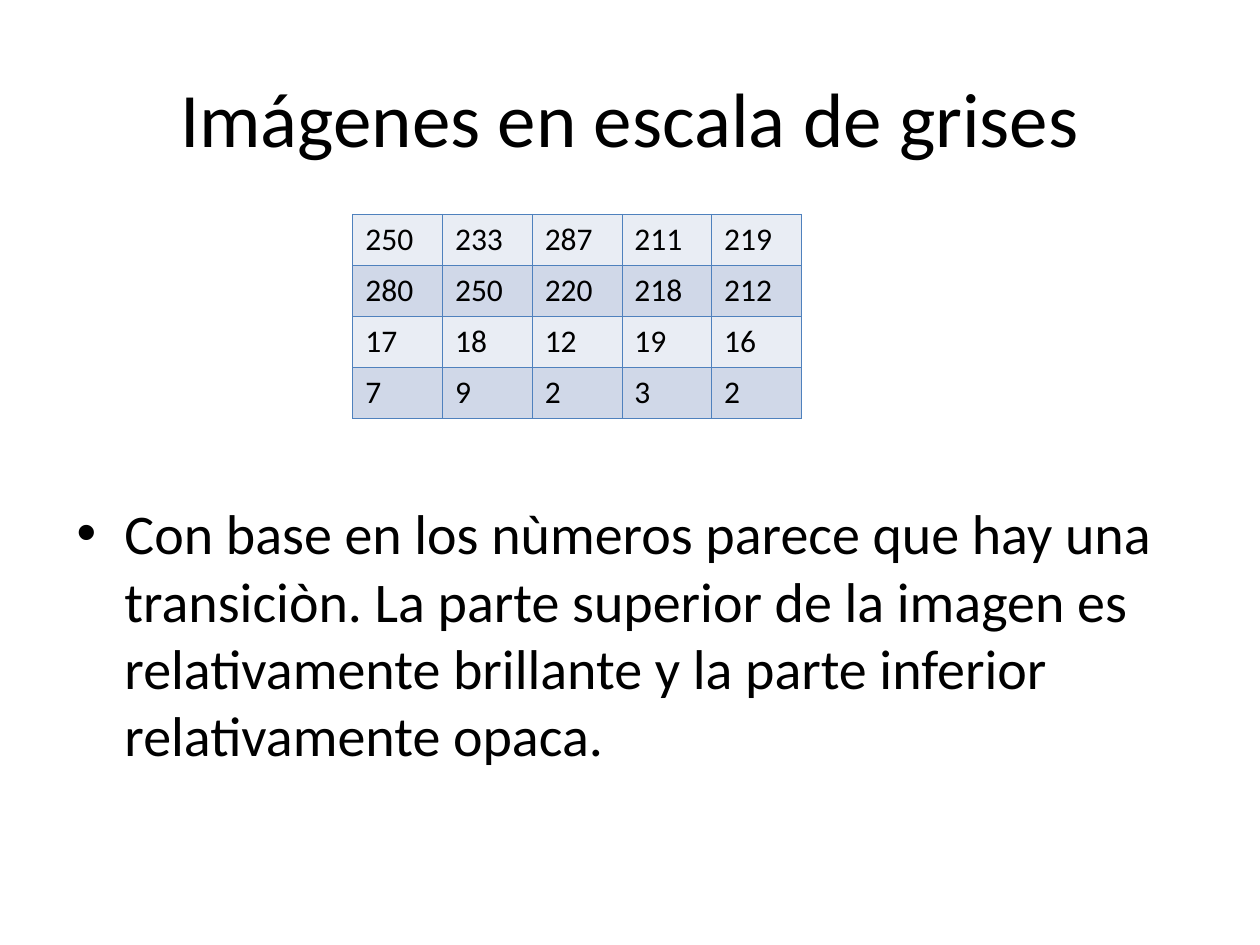
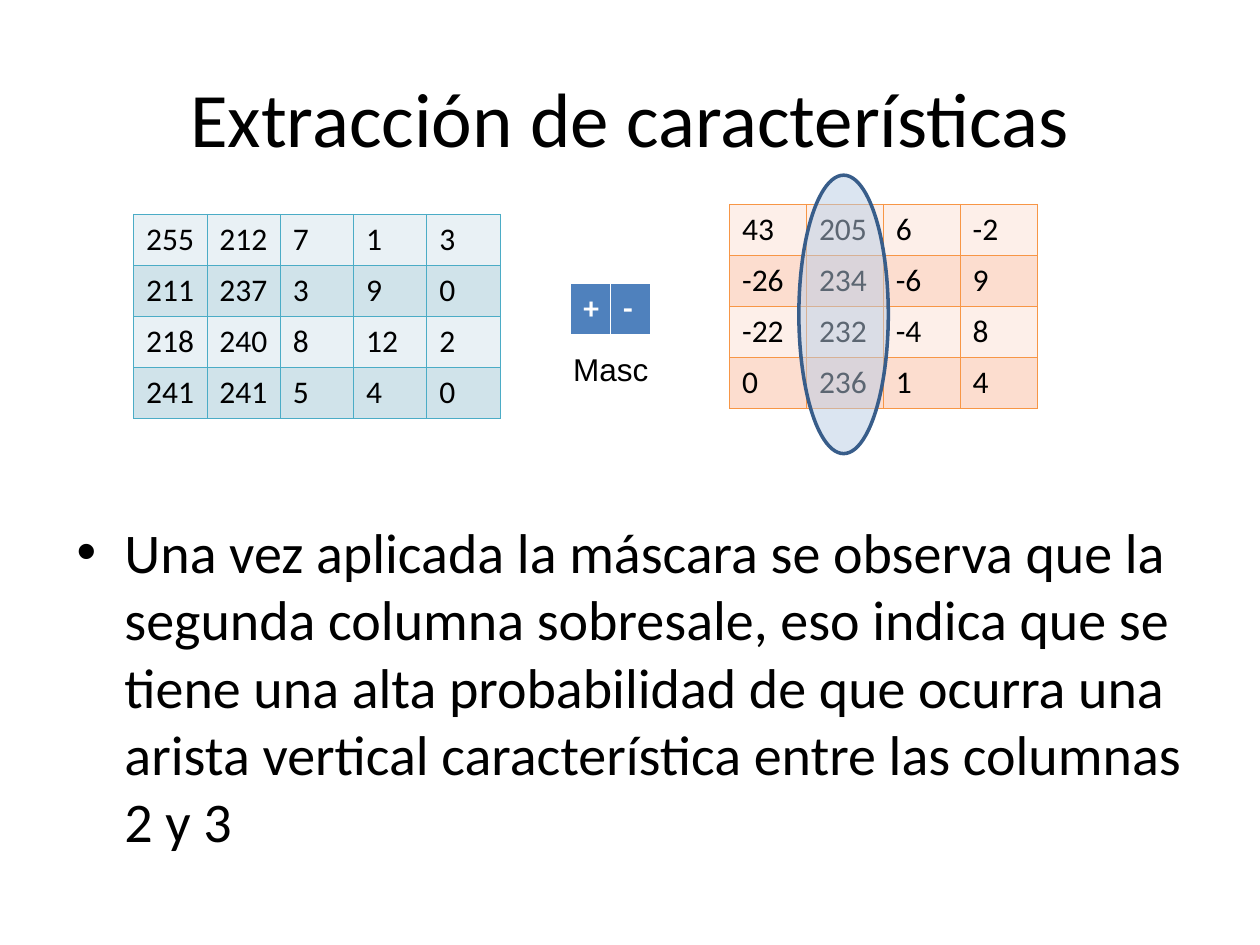
from dataclasses import dataclass

from lxml.etree import SubElement
from pptx import Presentation
from pptx.dml.color import RGBColor
from pptx.enum.shapes import MSO_SHAPE
from pptx.enum.text import MSO_ANCHOR, MSO_AUTO_SIZE, PP_ALIGN
from pptx.oxml.ns import qn
from pptx.util import Inches, Pt

BLACK, WHITE, BLUE = "000000", "FFFFFF", "4F81BD"
TEAL, ORANGE = "4BACC6", "F79646"
OVAL_FILL, OVAL_LINE = "B9CDE5", "385D8A"
TITLE_BOX = (0.5, 0.3, 9, 1.25)
HAIRLINE, HEADER_RULE = 0.45, 1.47


@dataclass
class Matrix:
    """A grid of numbers with equal columns and alternating row fills."""
    left: float
    top: float
    width: float
    height: float
    rows: list[str]
    fills: tuple[str, ...]
    border: str
    text_color: str = BLACK
    bold: bool = False
    bottom_width: float = HAIRLINE


def rgb(color: str) -> RGBColor:
    return RGBColor.from_string(color)


def box(left: float, top: float, width: float, height: float) -> tuple:
    return Inches(left), Inches(top), Inches(width), Inches(height)


def write(tf, text: str, size: float = 18, font: str = "Calibri", color: str = BLACK,
          bold: bool = False, align=PP_ALIGN.LEFT, bullet: bool = False) -> None:
    p = tf.paragraphs[0]
    if bullet:
        pPr = p._p.get_or_add_pPr()
        pPr.set("marL", str(Inches(0.38)))
        pPr.set("indent", str(-Inches(0.38)))
        SubElement(pPr, qn("a:buFont"), typeface="Arial")
        SubElement(pPr, qn("a:buChar"), char="•")
    p.alignment = align
    r = p.add_run()
    r.text = text
    r.font.size, r.font.name, r.font.bold = Pt(size), font, bold
    r.font.color.rgb = rgb(color)


def add_slide(prs, title: str):
    s = prs.slides.add_slide(prs.slide_layouts[5])
    sp = s.shapes.title
    sp.left, sp.top, sp.width, sp.height = box(*TITLE_BOX)
    sp.text_frame.vertical_anchor = MSO_ANCHOR.MIDDLE
    write(sp.text_frame, title, size=44, align=PP_ALIGN.CENTER)
    return s


def add_text(s, place: tuple, text: str, wrap: bool = True, **fmt) -> None:
    tf = s.shapes.add_textbox(*box(*place)).text_frame
    tf.word_wrap = wrap
    if not wrap:
        tf.auto_size = MSO_AUTO_SIZE.SHAPE_TO_FIT_TEXT
    write(tf, text, **fmt)


def set_borders(cell, color: str, bottom_width: float) -> None:
    tcPr = cell._tc.get_or_add_tcPr()
    for side in "LRTB":
        width = bottom_width if side == "B" else HAIRLINE
        ln = SubElement(tcPr, qn(f"a:ln{side}"), w=str(Pt(width)))
        SubElement(SubElement(ln, qn("a:solidFill")), qn("a:srgbClr"), val=color)


def add_matrix(s, m: Matrix) -> None:
    grid = [row.split() for row in m.rows]
    n_rows, n_cols = len(grid), len(grid[0])
    place = box(m.left, m.top, m.width, m.height)
    table = s.shapes.add_table(n_rows, n_cols, *place).table
    table.first_row = table.horz_banding = False
    for i, values in enumerate(grid):
        for j, value in enumerate(values):
            cell = table.cell(i, j)
            set_borders(cell, m.border, m.bottom_width)
            cell.fill.solid()
            cell.fill.fore_color.rgb = rgb(m.fills[i % len(m.fills)])
            write(cell.text_frame, value, color=m.text_color, bold=m.bold)


def add_highlight(s, place: tuple) -> None:
    sp = s.shapes.add_shape(MSO_SHAPE.OVAL, *box(*place))
    sp.shadow.inherit = False
    sp.fill.solid()
    sp.fill.fore_color.rgb = rgb(OVAL_FILL)
    clr = sp._element.spPr.find(qn("a:solidFill")).find(qn("a:srgbClr"))
    SubElement(clr, qn("a:alpha"), val="50000")
    sp.line.color.rgb = rgb(OVAL_LINE)
    sp.line.width = Pt(2)


GRAY_LEVELS = Matrix(2.8, 1.7, 3.56, 1.62,
                     ["250 233 287 211 219", "280 250 220 218 212",
                      "17 18 12 19 16", "7 9 2 3 2"],
                     ("E9EDF4", "D0D8E8"), BLUE)
INPUT = Matrix(1.06, 1.7, 2.91, 1.62,
               ["255 212 7 1 3", "211 237 3 9 0", "218 240 8 12 2", "241 241 5 4 0"],
               ("E9F1F5", "D0E3EA"), TEAL)
MASK = Matrix(4.53, 2.25, 0.63, 0.41, ["+ -"], (BLUE,), WHITE,
              text_color=WHITE, bold=True, bottom_width=HEADER_RULE)
RESULT = Matrix(5.79, 1.62, 2.44, 1.62,
                ["43 205 6 -2", "-26 234 -6 9", "-22 232 -4 8", "0 236 1 4"],
                ("FDEFE9", "FCDDCF"), ORANGE)


def main() -> None:
    prs = Presentation()
    prs.slide_width, prs.slide_height = Inches(10), Inches(7.5)

    # Grayscale images
    s = add_slide(prs, "Imágenes en escala de grises")
    add_matrix(s, GRAY_LEVELS)
    add_text(s, (0.51, 3.91, 9, 2.71),
             "Con base en los nùmeros parece que hay una transiciòn. La parte superior "
             "de la imagen es relativamente brillante y la parte inferior "
             "relativamente opaca.", size=32, bullet=True)

    # Feature extraction: input, mask and result
    s = add_slide(prs, "Extracción de características")
    for matrix in (INPUT, MASK, RESULT):
        add_matrix(s, matrix)
    add_highlight(s, (6.34, 1.39, 0.71, 2.21))
    add_text(s, (0.51, 4.06, 9.24, 2.73),
             "Una vez aplicada la máscara se observa que la segunda columna sobresale, "
             "eso indica que se tiene una alta probabilidad de que ocurra una arista "
             "vertical característica entre las columnas 2 y 3", size=32, bullet=True)
    add_text(s, (4.45, 2.73, 0.81, 0.4), "Masc", wrap=False, font="Arial")

    prs.save("out.pptx")


if __name__ == "__main__":
    main()
